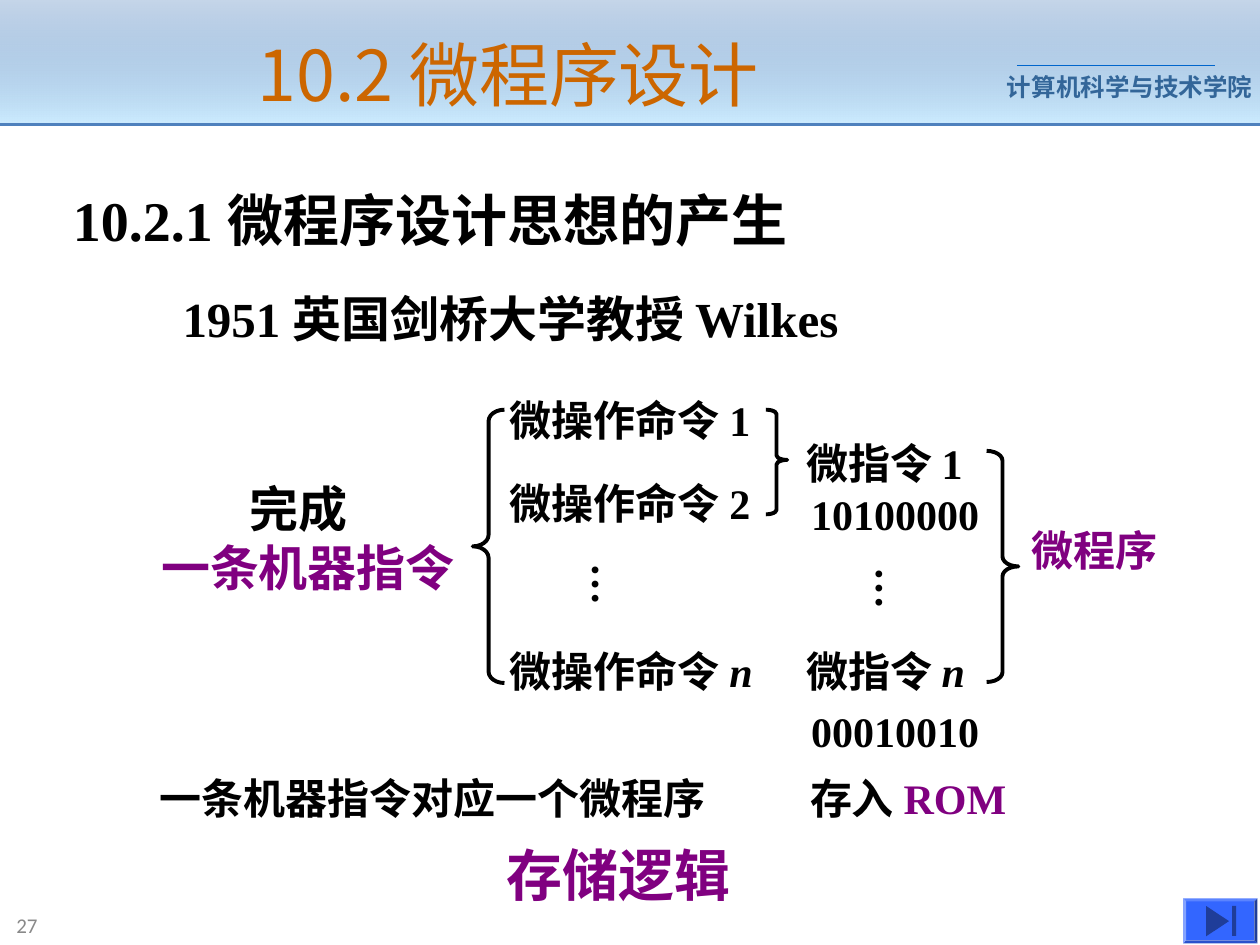
from lxml import etree
from pptx import Presentation
from pptx.dml.color import RGBColor
from pptx.enum import shapes, text
from pptx.oxml.ns import qn
from pptx.util import Cm, Pt

SERIF, CJK = "Times New Roman", "Noto Sans CJK SC"
BLACK, PURPLE = "000000", "800080"
KIND = shapes.MSO_SHAPE


def colour(value):
    return RGBColor.from_string(value)


def add_span(para, words, size, ink=BLACK, font=SERIF, bold=True, italic=False):
    span = para.add_run()
    span.text = words
    span.font.size = Pt(size)
    span.font.name = font
    span.font.bold = bold
    span.font.italic = italic
    span.font.color.rgb = colour(ink)
    east = etree.SubElement(span._r.get_or_add_rPr(), qn("a:ea"))
    east.set("typeface", CJK)


def add_text(page, place, spans, size, upright=False, **style):
    """Add a one-line box; spans are (words, colour, italic) tuples."""
    box = page.shapes.add_textbox(*map(Cm, place))
    frame = box.text_frame
    frame.word_wrap = True
    frame.auto_size = text.MSO_AUTO_SIZE.NONE
    if upright:
        frame._txBody.bodyPr.set("vert", "eaVert")
        frame.margin_left = frame.margin_right = Cm(0.13)
        frame.margin_top = frame.margin_bottom = Cm(0.25)
    for words, ink, italic in spans:
        add_span(frame.paragraphs[0], words, size, ink, italic=italic, **style)
    return frame


def plain(words, ink=BLACK):
    return [(words, ink, False)]


def numbered(words, number):
    if number == "n":
        return [(words + " ", BLACK, False), (number, BLACK, True)]
    return plain(f"{words} {number}")


def add_line(page, start, end, ink, width):
    line = page.shapes.add_connector(shapes.MSO_CONNECTOR.STRAIGHT, *map(Cm, start + end))
    line.line.color.rgb = colour(ink)
    line.line.width = Pt(width)
    etree.SubElement(line._element.spPr, qn("a:effectLst"))


def add_shape(page, kind, place, fill=None):
    shape = page.shapes.add_shape(kind, *map(Cm, place))
    shape.shadow.inherit = False
    shape.line.fill.background()
    if fill:
        shape.fill.solid()
        shape.fill.fore_color.rgb = colour(fill)
    else:
        shape.fill.background()
    return shape


def add_brace(page, kind, place, curve, tip=0.5):
    brace = add_shape(page, kind, place)
    brace.adjustments[0] = curve
    brace.adjustments[1] = tip
    brace.line.color.rgb = colour(BLACK)
    brace.line.width = Pt(2.25)


def add_header(page, left, top, width, height):
    # Gradient band, transparent at the top
    band = add_shape(page, KIND.RECTANGLE, (left, top, width, height))
    band.fill.gradient()
    band.fill.gradient_angle = 270
    for stop, ink, position in zip(band.fill.gradient_stops, ("4F81BD", "CCECFF"), (0, 1)):
        stop.color.rgb = colour(ink)
        stop.position = position
    first = band._element.spPr.find(".//" + qn("a:srgbClr"))
    etree.SubElement(first, qn("a:alpha")).set("val", "32000")

    # School name and rules
    school = add_text(page, (left + 20.3, top + 1.32, 5.1, 0.86),
                      plain("计算机科学与技术学院", "336699"), 14, font="Arial")
    school.margin_left = school.margin_right = 0
    add_line(page, (left + 20.5, top + 1.32), (left + 24.5, top + 1.32), "0066CC", 0.75)
    add_line(page, (left, top + height), (left + width, top + height), "4F81BD", 1.5)

    # Title, in front of the band
    title = page.shapes.title
    band._element.addnext(title._element)
    title.left, title.top, title.width, title.height = map(
        Cm, (left + 1.15, top + 0.33, 18.19, 2.31))
    title.text_frame.vertical_anchor = text.MSO_ANCHOR.MIDDLE
    para = title.text_frame.paragraphs[0]
    para.alignment = text.PP_ALIGN.CENTER
    add_span(para, "10.2 微程序设计", 40, "CC6600", CJK, bold=False)


def add_headings(page, left, top):
    add_text(page, (left, top, 16.97, 1.63), plain("10.2.1 微程序设计思想的产生"), 32)
    add_text(page, (left + 2.21, top + 2.08, 16, 1.45),
             plain("1951 英国剑桥大学教授 Wilkes"), 28)


def add_diagram(page, left, top):
    # Machine instruction
    frame = add_text(page, (left, top + 1.71, 6.6, 2.64), plain("完成"), 28)
    frame.paragraphs[0]._p.get_or_add_pPr().set("marL", str(Cm(1.78)))
    add_span(frame.add_paragraph(), "一条机器指令", 28, PURPLE)

    # Micro-operation commands
    add_brace(page, KIND.LEFT_BRACE, (left + 6.53, top + 0.44, 0.64, 5.51), 0.36)
    for number, drop in (("1", 0), ("2", 1.68), ("n", 5.06)):
        add_text(page, (left + 7.03, top + drop, 5.9, 1.27), numbered("微操作命令", number), 24)
    add_brace(page, KIND.RIGHT_BRACE, (left + 12.44, top + 0.44, 0.43, 2.11), 0.21, 0.48)

    # Microinstructions with their codes
    for number, drop, code, code_drop in (("1", 0.87, "10100000", 1.91),
                                          ("n", 5.06, "00010010", 6.28)):
        add_text(page, (left + 13, top + drop, 4.2, 1.27), numbered("微指令", number), 24)
        add_text(page, (left + 13.1, top + code_drop, 4.2, 1.27), plain(code), 24)

    # Ellipses
    for across, drop in ((8.4, 3.3), (14.12, 3.38)):
        add_text(page, (left + across, top + drop, 1.52, 1.4), plain("…"), 24, upright=True)

    # Microprogram
    add_brace(page, KIND.RIGHT_BRACE, (left + 16.89, top + 1.27, 0.64, 4.66), 0.31)
    add_text(page, (left + 17.55, top + 2.62, 3.3, 1.27), plain("微程序", PURPLE), 24)


def add_summary(page, left, top):
    add_text(page, (left, top, 12, 1.27), plain("一条机器指令对应一个微程序"), 24)
    add_text(page, (left + 13.11, top, 5.08, 1.27),
             plain("存入 ") + plain("ROM", PURPLE), 24)
    add_text(page, (left + 6.99, top + 1.37, 8.94, 1.63), plain("存储逻辑", PURPLE), 32)


def add_footer(page, left, top):
    # Slide number
    frame = add_text(page, (left, top, 5.61, 0.81), plain("27", "898989"), 12,
                     font="Calibri", bold=False)
    frame.vertical_anchor = text.MSO_ANCHOR.MIDDLE

    # Skip-to-end button
    button = add_shape(page, KIND.BEVEL, (left + 23.77, top - 0.13, 1.5, 0.91), "3366FF")
    button.adjustments[0] = 0.07
    arrow = add_shape(page, KIND.ISOSCELES_TRIANGLE, (left + 24.16, top + 0.1, 0.61, 0.46), "1F3D99")
    arrow.rotation = 90
    add_shape(page, KIND.RECTANGLE, (left + 24.76, top + 0.02, 0.08, 0.61), "1F3D99")


def main():
    deck = Presentation()
    deck.slide_width, deck.slide_height = Cm(25.4), Cm(19.05)
    page = deck.slides.add_slide(deck.slide_layouts[5])
    add_header(page, 0, 0, 25.4, 2.51)
    add_headings(page, 1.22, 3.61)
    add_diagram(page, 3, 7.82)
    add_summary(page, 2.97, 15.44)
    add_footer(page, 0.08, 18.24)
    deck.save("out.pptx")


if __name__ == "__main__":
    main()
